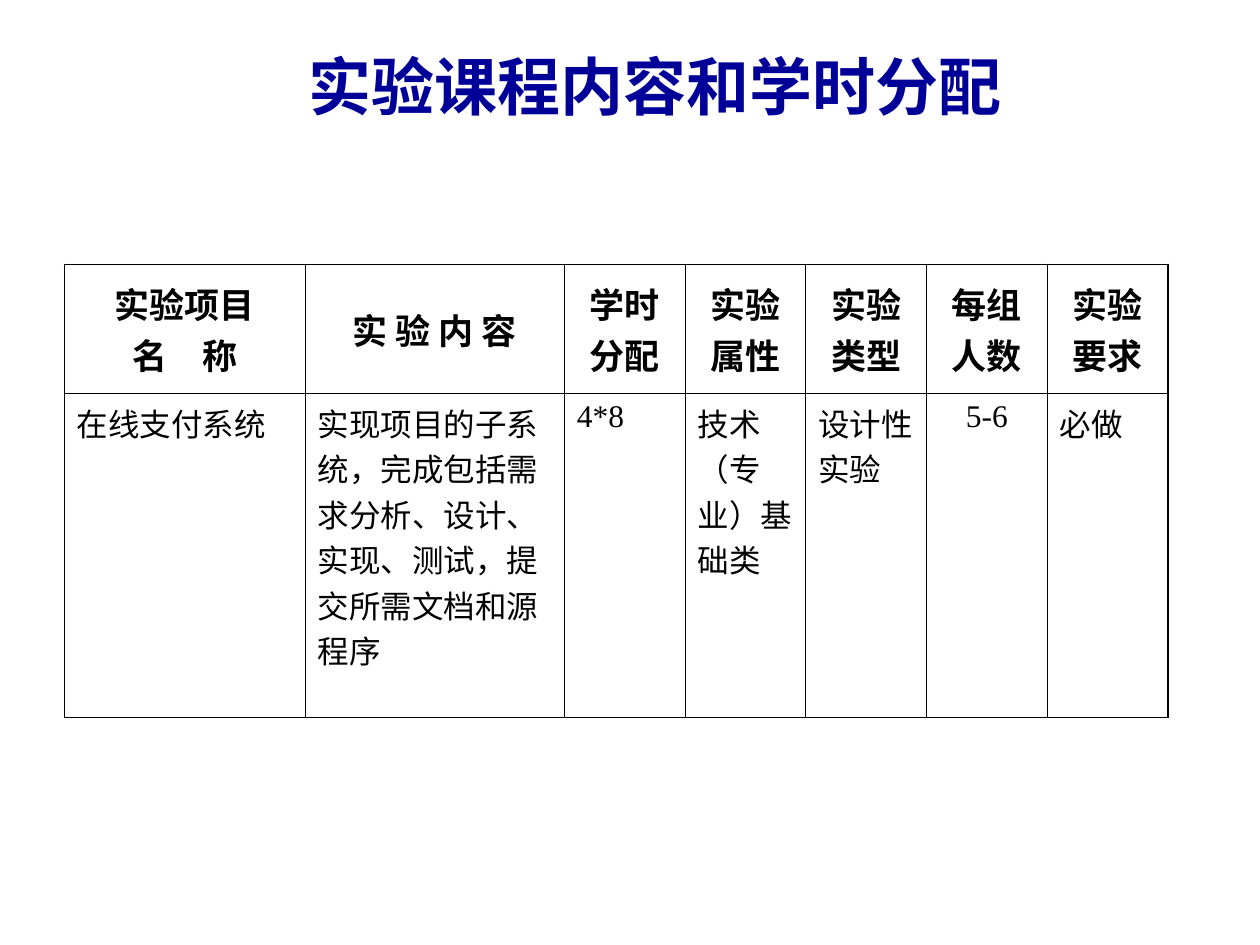
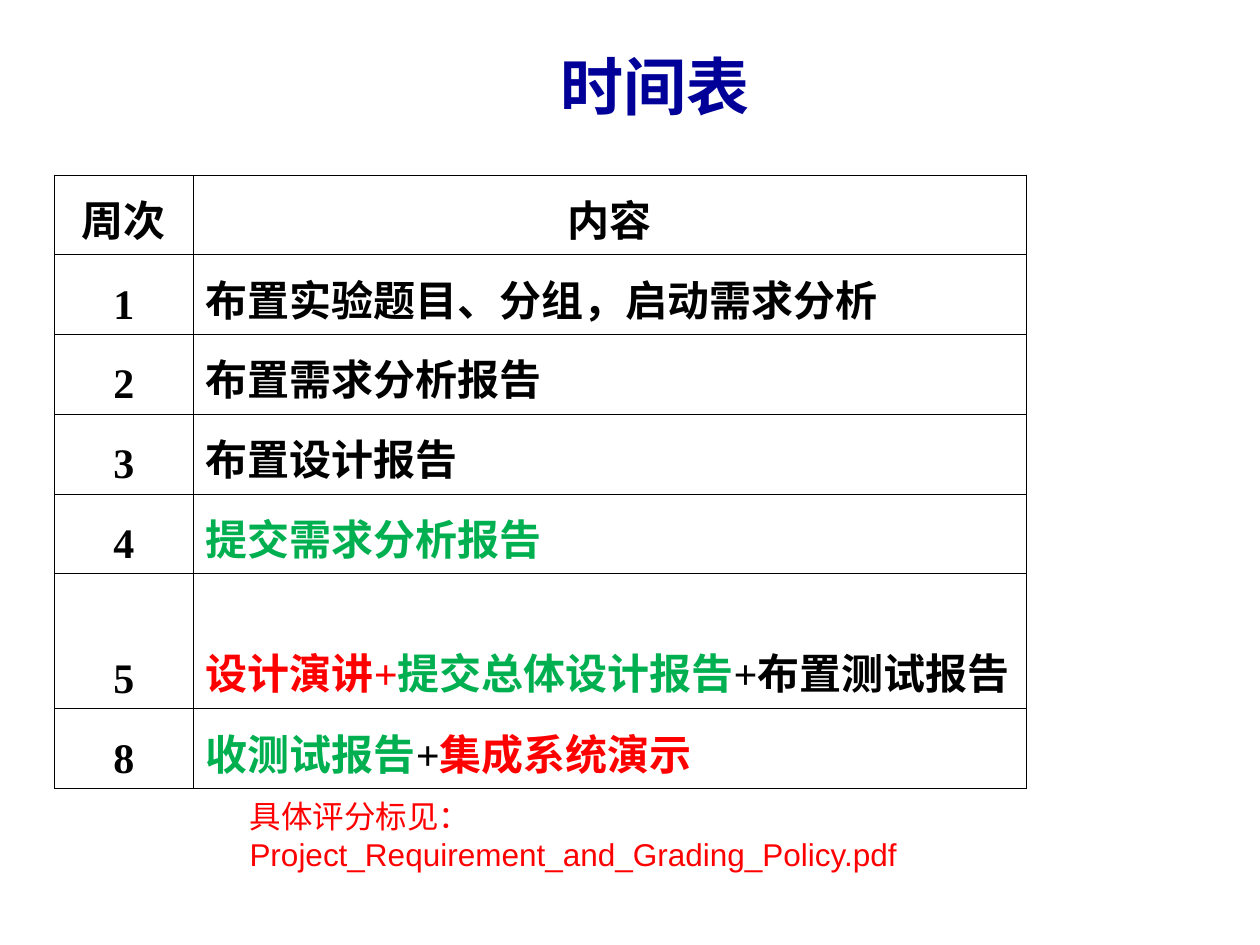
from lxml.etree import SubElement
from pptx import Presentation
from pptx.dml.color import RGBColor
from pptx.enum.text import MSO_ANCHOR, MSO_AUTO_SIZE, PP_ALIGN
from pptx.oxml.ns import qn
from pptx.util import Pt

COLORS = {
    "title": "000099",
    "ink": "000000",
    "submit": "00B050",
    "present": "FF0000",
}
SANS, SERIF, CHINESE = "Arial", "Times New Roman", "Noto Sans CJK SC"
THIN, THICK = 0.45, 0.96

COURSE_HEADERS = ["实验项目\n名\u3000称", "实 验 内 容", "学时\n分配", "实验\n属性",
                  "实验\n类型", "每组\n人数", "实验\n要求"]
COURSE_VALUES = ["在线支付系统",
                 "实现项目的子系统，完成包括需求分析、设计、实现、测试，提交所需文档和源程序",
                 "4*8", "技术（专业）基础类", "设计性实验", "5-6", "必做"]
COURSE_FONTS = {0: SANS, 3: CHINESE}
GROUP_SIZE_COLUMN = 5

SCHEDULE = [
    ("1", [("布置实验题目、分组，启动需求分析", "ink")]),
    ("2", [("布置需求分析报告", "ink")]),
    ("3", [("布置设计报告", "ink")]),
    ("4", [("提交需求分析报告", "submit")]),
    ("5", [("设计演讲+", "present"), ("提交总体设计报告", "submit"),
           ("+布置测试报告", "ink")]),
    ("8", [("收测试报告", "submit"), ("+", "ink"), ("集成系统演示", "present")]),
]


def add_run(paragraph, text, size, font=SERIF, color="ink", bold=False):
    run = paragraph.add_run()
    run.text = text
    run.font.size = Pt(size)
    run.font.bold = bold
    run.font.name = font
    run.font.color.rgb = RGBColor.from_string(COLORS[color])
    SubElement(run.font._element, qn("a:ea")).set("typeface", CHINESE)


def add_titled_slide(deck, heading):
    slide = deck.slides.add_slide(deck.slide_layouts[5])
    title = slide.shapes.title
    title.left, title.top, title.width, title.height = Pt(65), Pt(15), Pt(619), Pt(67)
    title.text_frame.vertical_anchor = MSO_ANCHOR.MIDDLE
    paragraph = title.text_frame.paragraphs[0]
    paragraph.alignment = PP_ALIGN.CENTER
    add_run(paragraph, heading, 36, SANS, "title", True)
    return slide


def set_borders(cell, widths):
    properties = cell._tc.get_or_add_tcPr()
    for side, width in zip("LRTB", widths):
        line = SubElement(properties, qn(f"a:ln{side}"), w=str(Pt(width)))
        fill = SubElement(line, qn("a:solidFill"))
        SubElement(fill, qn("a:srgbClr"), val=COLORS["ink"])


def add_grid(slide, left, top, widths, heights, outer):
    table = slide.shapes.add_table(len(heights), len(widths), Pt(left), Pt(top),
                                   Pt(sum(widths)), Pt(sum(heights))).table
    table.first_row = table.horz_banding = False
    for column, width in zip(table.columns, widths):
        column.width = Pt(width)
    last_row, last_column = len(heights) - 1, len(widths) - 1
    for r, height in enumerate(heights):
        table.rows[r].height = Pt(height)
        for c in range(len(widths)):
            cell = table.cell(r, c)
            edges = (c == 0, c == last_column, r == 0, r == last_row)
            set_borders(cell, [outer if edge else THIN for edge in edges])
            cell.fill.background()
    return table


def fill_cell(cell, lines, size, anchor, centred, font=SERIF, bold=True):
    cell.vertical_anchor = anchor
    frame = cell.text_frame
    for number, runs in enumerate(lines):
        paragraph = frame.add_paragraph() if number else frame.paragraphs[0]
        paragraph.alignment = PP_ALIGN.CENTER if centred else PP_ALIGN.LEFT
        for text, color in runs:
            add_run(paragraph, text, size, font, color, bold)


def add_course_slide(deck):
    slide = add_titled_slide(deck, "实验课程内容和学时分配")
    table = add_grid(slide, 36.8, 151, [137.5, 148.2] + [69] * 5, [73.7, 185.2], THICK)
    for c, (header, value) in enumerate(zip(COURSE_HEADERS, COURSE_VALUES)):
        lines = [[(line, "ink")] for line in header.split("\n")]
        fill_cell(table.cell(0, c), lines, 20, MSO_ANCHOR.MIDDLE, True)
        fill_cell(table.cell(1, c), [[(value, "ink")]], 18, MSO_ANCHOR.TOP,
                  c == GROUP_SIZE_COLUMN, COURSE_FONTS.get(c, SERIF), False)


def add_grading_note(slide):
    note = slide.shapes.add_textbox(Pt(135.5), Pt(452), Pt(478), Pt(50))
    frame = note.text_frame
    frame.word_wrap = True
    frame.auto_size = MSO_AUTO_SIZE.SHAPE_TO_FIT_TEXT
    add_run(frame.paragraphs[0], "具体评分标见：Project_Requirement_and_Grading_Policy.pdf",
            18, SANS, "present")


def add_schedule_slide(deck):
    slide = add_titled_slide(deck, "时间表")
    table = add_grid(slide, 31, 100, [79.4, 476.2], [45.6] * 5 + [60.5, 46], THIN)
    rows = [("周次", [("内容", "ink")])] + SCHEDULE
    for r, (week, tasks) in enumerate(rows):
        fill_cell(table.cell(r, 0), [[(week, "ink")]], 24, MSO_ANCHOR.BOTTOM, True)
        fill_cell(table.cell(r, 1), [tasks], 24, MSO_ANCHOR.BOTTOM, r == 0)
    add_grading_note(slide)


def main():
    deck = Presentation()
    deck.slide_width, deck.slide_height = Pt(720), Pt(540)
    add_course_slide(deck)
    add_schedule_slide(deck)
    deck.save("out.pptx")


main()
